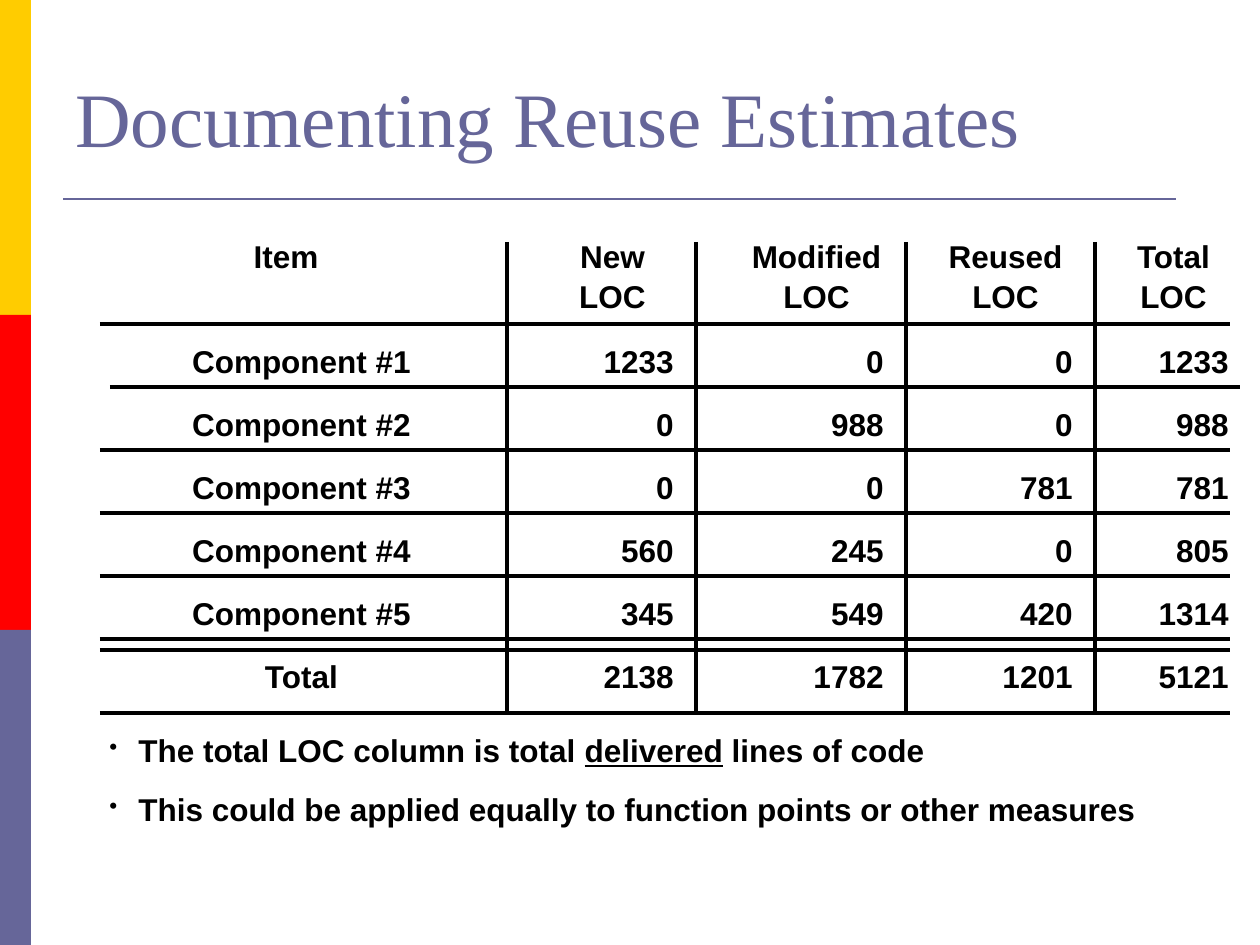
from lxml.etree import SubElement
from pptx import Presentation
from pptx.dml.color import RGBColor
from pptx.enum.shapes import MSO_CONNECTOR as CONNECTOR, MSO_SHAPE as SHAPE
from pptx.enum.text import MSO_ANCHOR as ANCHOR, MSO_AUTO_SIZE as AUTO_SIZE, PP_ALIGN as ALIGN
from pptx.oxml.ns import qn
from pptx.util import Pt

PX = 914400 / 126
COLORS = {"yellow": "FFCC00", "red": "FF0000", "violet": "666699", "black": "000000"}

deck = Presentation()
deck.slide_width, deck.slide_height = round(1260 * PX), round(945 * PX)
page = deck.slides.add_slide(deck.slide_layouts[6])


def draw_line(x1, y1, x2, y2, color="black", weight=2):
    ends = [round(value * PX) for value in (x1, y1, x2, y2)]
    line = page.shapes.add_connector(CONNECTOR.STRAIGHT, *ends)
    line.line.color.rgb = RGBColor.from_string(COLORS[color])
    line.line.width = Pt(weight)
    SubElement(line._element.spPr, qn("a:effectLst"))


def add_text(left, top, width, height, paragraphs, align=ALIGN.LEFT, font="Arial",
             size=18, color="black", bold=True, spacing=1.05, bullet=False):
    """Add a text box; each paragraph is a list of (text, underlined) runs."""
    box = page.shapes.add_textbox(*[round(value * PX) for value in (left, top, width, height)])
    frame = box.text_frame
    frame.word_wrap = True
    frame.auto_size = AUTO_SIZE.NONE
    for index, runs in enumerate(paragraphs):
        para = frame.add_paragraph() if index else frame.paragraphs[0]
        para.alignment = align
        para.line_spacing = spacing
        if index:
            para.space_before = Pt(11.2)
        if bullet:
            props = para._p.get_or_add_pPr()
            props.set("marL", str(round(29 * PX)))
            props.set("indent", str(round(-29 * PX)))
            SubElement(props, qn("a:buSzPct"), val="75000")
            SubElement(props, qn("a:buChar"), char="•")
        for text, underlined in runs:
            span = para.add_run()
            span.text = text
            span.font.name = font
            span.font.size = Pt(size)
            span.font.bold = bold
            span.font.color.rgb = RGBColor.from_string(COLORS[color])
            if underlined:
                span.font.underline = True
    return box


# Side bands
for index, name in enumerate(("yellow", "red", "violet")):
    band = page.shapes.add_shape(SHAPE.RECTANGLE, 0, round(315 * index * PX),
                                 round(31 * PX), round(315 * PX))
    band.shadow.inherit = False
    band.fill.solid()
    band.fill.fore_color.rgb = RGBColor.from_string(COLORS[name])
    band.line.fill.background()

# Title and its rule
title = add_text(63, 38, 1134, 157, [[("Documenting Reuse Estimates", False)]],
                 font="Times New Roman", size=44, color="violet", bold=False, spacing=1)
title.text_frame.vertical_anchor = ANCHOR.MIDDLE
draw_line(63, 199, 1176, 199, "violet", 1.5)

# Column headings
headings = [("Item", 117, 338, 50), ("New LOC", 538, 149, 88), ("Modified LOC", 737, 159, 88),
            ("Reused LOC", 926, 159, 88), ("Total LOC", 1094, 159, 88)]
for heading, left, width, height in headings:
    add_text(left, 229, width, height, [[(heading, False)]], ALIGN.CENTER)

# Grid lines: the rule under the first component sits a little to the right,
# and a double rule comes before the totals
for x in (507, 696, 906, 1095):
    draw_line(x, 242, x, 711)
for y in (324, 387, 450, 513, 576, 639, 650, 713):
    left = 110 if y == 387 else 100
    draw_line(left, y, left + 1130, y)

# Table rows
rows = [
    ("Component #1", 1233, 0, 0, 1233),
    ("Component #2", 0, 988, 0, 988),
    ("Component #3", 0, 0, 781, 781),
    ("Component #4", 560, 245, 0, 805),
    ("Component #5", 345, 549, 420, 1314),
    ("Total", 2138, 1782, 1201, 5121),
]
for index, (item, *values) in enumerate(rows):
    top = 334 + 63 * index
    add_text(107, top, 389, 50, [[(item, False)]], ALIGN.CENTER)
    for left, value in zip((517, 727, 916, 1072), values):
        add_text(left, top, 169, 50, [[(str(value), False)]], ALIGN.RIGHT)

# Notes under the table
add_text(97, 723, 1104, 107, [
    [("The total LOC column is total ", False), ("delivered", True), (" lines of code", False)],
    [("This could be applied equally to function points or other measures", False)],
], bullet=True)

deck.save("out.pptx")
